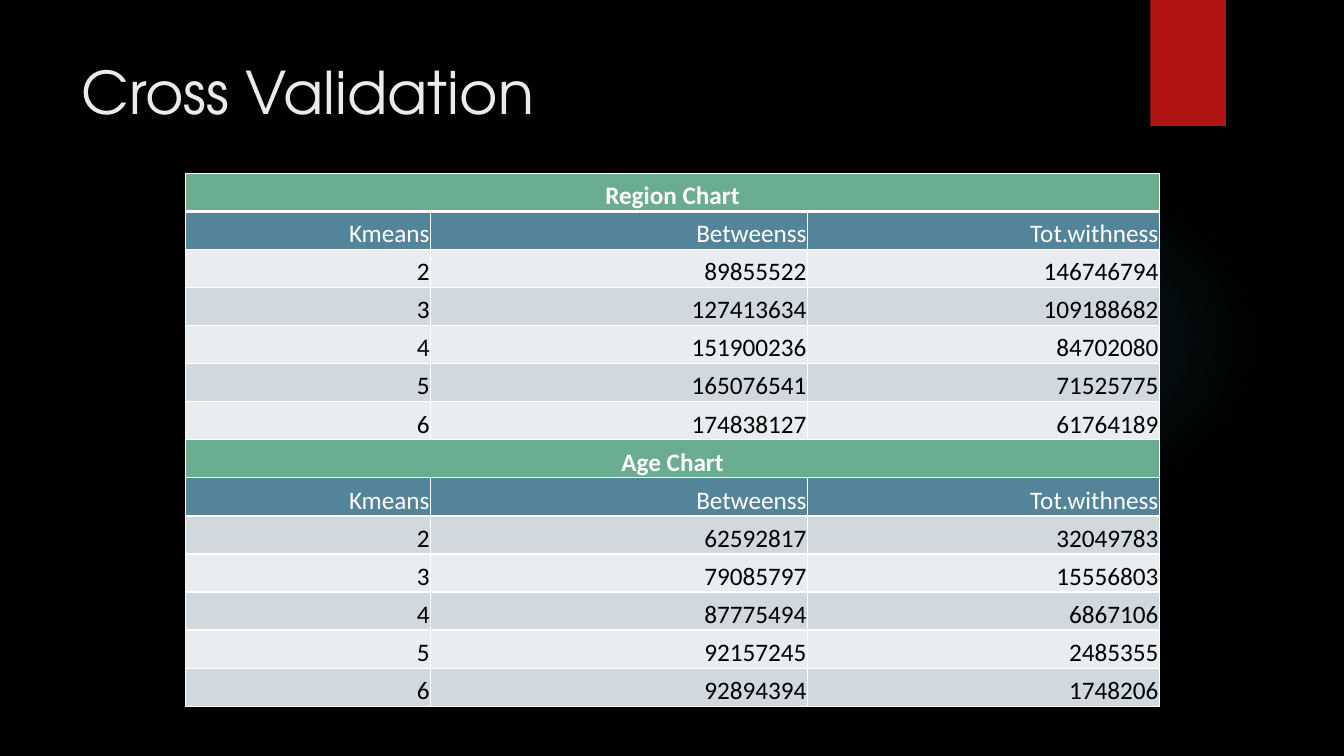
from dataclasses import dataclass

from lxml import etree
from pptx import Presentation
from pptx.dml.color import RGBColor
from pptx.enum.shapes import MSO_SHAPE
from pptx.enum.text import MSO_ANCHOR, PP_ALIGN
from pptx.oxml import parse_xml
from pptx.oxml.ns import nsdecls
from pptx.util import Inches, Pt


@dataclass(frozen=True)
class Theme:
    background: str = "000000"
    ribbon: str = "B01513"
    glow: str = "50B9C1"
    title: str = "EBEBEB"
    section: str = "6AAC90"
    header: str = "54849A"
    stripes: tuple = ("E9EDEF", "D1D9DE")
    light: str = "FFFFFF"
    dark: str = "000000"
    title_font: str = "TeX Gyre Adventor"
    table_font: str = "Calibri"
    title_size: int = 42
    table_size: int = 18


THEME = Theme()
COLUMN_WIDTHS = (2.43, 3.74, 3.49)
HEADINGS = ("Kmeans", "Betweenss", "Tot.withness")
SECTIONS = {
    "Region Chart": [
        (2, 89855522, 146746794),
        (3, 127413634, 109188682),
        (4, 151900236, 84702080),
        (5, 165076541, 71525775),
        (6, 174838127, 61764189),
    ],
    "Age Chart": [
        (2, 62592817, 32049783),
        (3, 79085797, 15556803),
        (4, 87775494, 6867106),
        (5, 92157245, 2485355),
        (6, 92894394, 1748206),
    ],
}


def rgb(value):
    return RGBColor.from_string(value)


def fill_solid(target, color):
    target.fill.solid()
    target.fill.fore_color.rgb = rgb(color)


def add_plain_shape(slide, preset, left, top, width, height, color):
    shape = slide.shapes.add_shape(
        preset, Inches(left), Inches(top), Inches(width), Inches(height))
    shape.shadow.inherit = False
    shape.line.fill.background()
    fill_solid(shape, color)
    return shape


def add_glow(slide, left, top, size):
    """Add a circle whose faint colour fades out towards its edge."""
    glow = add_plain_shape(slide, MSO_SHAPE.OVAL, left, top, size, size, THEME.glow)
    stops = "".join(
        f'<a:gs pos="{position}000"><a:srgbClr val="{THEME.glow}">'
        f'<a:alpha val="{alpha}000"/></a:srgbClr></a:gs>'
        for position, alpha in ((0, 7), (36, 6), (69, 0)))
    gradient = parse_xml(
        f'<a:gradFill {nsdecls("a")}><a:gsLst>{stops}</a:gsLst><a:path path="circle">'
        '<a:fillToRect l="50000" t="50000" r="50000" b="50000"/></a:path></a:gradFill>')
    properties = glow.element.spPr
    properties.replace(properties.find("{*}solidFill"), gradient)


def place_title(slide, text, left, top, width, height):
    title = slide.shapes.title
    title.left, title.top = Inches(left), Inches(top)
    title.width, title.height = Inches(width), Inches(height)
    title.text_frame.text = text
    title.text_frame.vertical_anchor = MSO_ANCHOR.TOP
    paragraph = title.text_frame.paragraphs[0]
    paragraph.alignment = PP_ALIGN.LEFT
    paragraph.font.name = THEME.title_font
    paragraph.font.size = Pt(THEME.title_size)
    paragraph.font.color.rgb = rgb(THEME.title)


def set_borders(cell, top, bottom):
    """Draw the four cell borders; top and bottom are widths in points."""
    properties = cell._tc.get_or_add_tcPr()
    borders = (("lnL", 1), ("lnR", 1), ("lnT", top), ("lnB", bottom))
    for index, (tag, width) in enumerate(borders):
        border = parse_xml(
            f'<a:{tag} {nsdecls("a")} w="{Pt(width)}"><a:solidFill>'
            f'<a:srgbClr val="{THEME.light}"/></a:solidFill></a:{tag}>')
        properties.insert(index, border)


def format_cell(cell, text, fill, color, bold, alignment):
    cell.margin_left = cell.margin_right = cell.margin_top = Inches(0.01)
    cell.margin_bottom = 0
    cell.vertical_anchor = MSO_ANCHOR.BOTTOM
    fill_solid(cell, fill)
    cell.text = str(text)
    paragraph = cell.text_frame.paragraphs[0]
    paragraph.alignment = alignment
    paragraph.font.name = THEME.table_font
    paragraph.font.size = Pt(THEME.table_size)
    paragraph.font.bold = bold
    paragraph.font.color.rgb = rgb(color)


def add_results_table(slide, left, top, height):
    rows = []
    for name, results in SECTIONS.items():
        rows.append(((name, "", ""), THEME.section))
        rows.append((HEADINGS, THEME.header))
        rows.extend((result, None) for result in results)

    table = slide.shapes.add_table(
        len(rows), len(COLUMN_WIDTHS), Inches(left), Inches(top),
        Inches(sum(COLUMN_WIDTHS)), Inches(height)).table
    for column, width in zip(table.columns, COLUMN_WIDTHS):
        column.width = Inches(width)

    for row_index, (values, band) in enumerate(rows):
        table.rows[row_index].height = Inches(height / len(rows))
        is_section = band == THEME.section
        for column_index, value in enumerate(values):
            cell = table.cell(row_index, column_index)
            format_cell(
                cell, value,
                fill=band or THEME.stripes[row_index % 2],
                color=THEME.light if band else THEME.dark,
                bold=is_section,
                alignment=PP_ALIGN.CENTER if is_section else PP_ALIGN.RIGHT)
            set_borders(cell, top=3 if row_index == 1 else 1,
                        bottom=3 if row_index == 0 else 1)
        if is_section:
            table.cell(row_index, 0).merge(table.cell(row_index, len(values) - 1))


def build_cross_validation(slide):
    fill_solid(slide.background, THEME.background)
    add_glow(slide, 9.41, 1.83, 3.08)
    add_plain_shape(slide, MSO_SHAPE.RECTANGLE, 11.41, 0, 0.75, 1.25, THEME.ribbon)
    place_title(slide, "Cross Validation", 0.71, 0.5, 10.29, 1.53)
    add_results_table(slide, 1.84, 1.72, 5.29)


def main():
    presentation = Presentation()
    presentation.slide_width = Inches(13.33)
    presentation.slide_height = Inches(7.5)
    title_only = presentation.slide_layouts[5]
    build_cross_validation(presentation.slides.add_slide(title_only))
    presentation.save("out.pptx")


if __name__ == "__main__":
    main()
